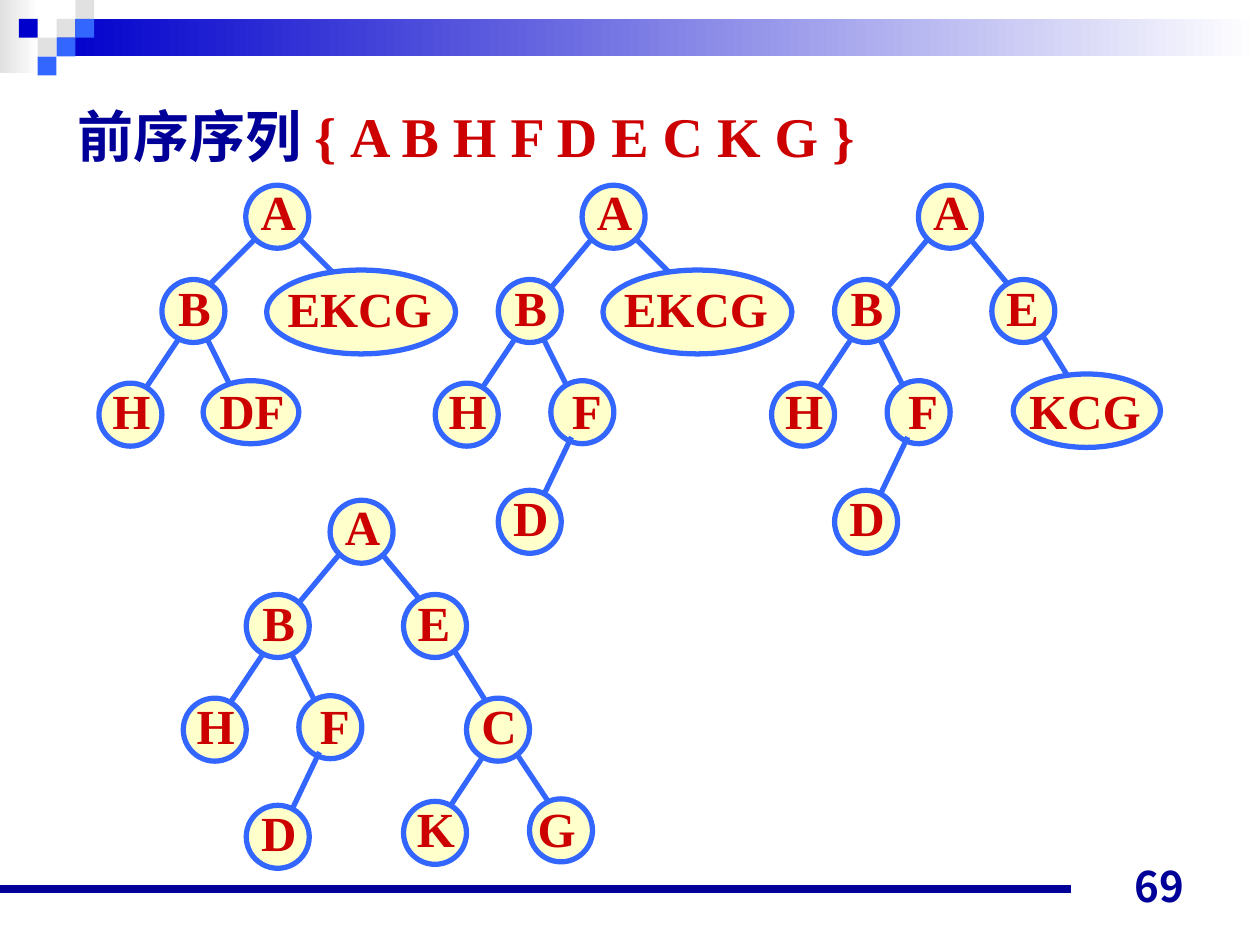
import dataclasses

import pptx
import pptx.dml.color
import pptx.enum.shapes
import pptx.enum.text
import pptx.oxml
import pptx.oxml.ns
import pptx.util

Cm = pptx.util.Cm
Pt = pptx.util.Pt
RGBColor = pptx.dml.color.RGBColor
SHAPE = pptx.enum.shapes.MSO_SHAPE
ALIGN = pptx.enum.text.PP_ALIGN
ANCHOR = pptx.enum.text.MSO_ANCHOR

NAVY = RGBColor(0x00, 0x00, 0x99)
BLUE = RGBColor(0x00, 0x00, 0xCC)
BRIGHT_BLUE = RGBColor(0x33, 0x66, 0xFF)
RED = RGBColor(0xCC, 0x00, 0x00)
CREAM = RGBColor(0xFF, 0xFF, 0xCC)
GREY = RGBColor(0xE1, 0xE1, 0xE1)
WHITE = RGBColor(0xFF, 0xFF, 0xFF)

SERIF = "Times New Roman"
SANS = "Noto Sans CJK JP"


@dataclasses.dataclass
class Node:
    """A tree node in cm: centre measured from the root, size, label offset."""
    x: float
    y: float
    width: float = 1.27
    height: float = 1.27
    label_dx: float = 0.02
    label_dy: float = -0.09
    label_width: float = 1.22


NODES = {
    "A": Node(0, 0, label_dy=-0.11),
    "B": Node(-1.69, 1.9),
    "E": Node(1.48, 1.9, label_dx=-0.02),
    "EKCG": Node(1.69, 1.92, 3.81, 1.69, label_dx=-0.03, label_width=3.4),
    "H": Node(-2.96, 3.99),
    "DF": Node(-0.53, 3.94, 1.93, label_dy=-0.04, label_width=1.9),
    "F": Node(-0.63, 3.94, label_dx=0.09, label_dy=-0.04, label_width=1.9),
    "C": Node(2.75, 3.99),
    "KCG": Node(2.76, 3.91, 2.97, 1.48, label_dx=-0.04, label_dy=-0.01,
                label_width=2.74),
    "D": Node(-1.69, 6.15),
    "K": Node(1.48, 6.07),
    "G": Node(4.02, 6.02, label_dx=-0.09, label_dy=-0.04, label_width=1.9),
}

# Edge ends in cm, measured from the root
EDGES = {
    "A-B": (-0.42, 0.42, -1.48, 1.69),
    "A-B wide": (-0.42, 0.42, -1.69, 1.69),
    "A-E": (0.21, 0.21, 1.27, 1.48),
    "A-EKCG": (0.42, 0.42, 1.69, 1.69),
    "B-H": (-1.9, 2.33, -2.75, 3.6),
    "B-F": (-1.48, 2.33, -0.85, 3.6),
    "E-C": (1.69, 2.11, 2.75, 3.81),
    "F-D": (-0.85, 4.44, -1.48, 5.76),
    "C-K": (2.54, 4.39, 1.7, 5.66),
    "C-G": (2.96, 4.23, 3.81, 5.51),
}

# Root centre, nodes and edges of each step
STEPS = [
    (5.59, 4.37, ["A", "EKCG", "B", "H", "DF"],
     ["A-B wide", "A-EKCG", "B-H", "B-F"]),
    (12.37, 4.37, ["A", "EKCG", "B", "H", "F", "D"],
     ["A-B", "A-EKCG", "B-H", "B-F"]),
    (19.15, 4.37, ["A", "E", "B", "H", "F", "D", "KCG"],
     ["A-B", "A-E", "B-H", "B-F", "E-C"]),
    (7.29, 10.72, ["A", "E", "B", "H", "F", "D", "C", "K", "G"],
     ["A-B", "A-E", "B-H", "B-F", "E-C", "C-K", "C-G"]),
]


def format_run(run, size, color, font=SERIF):
    run.font.size = Pt(size)
    run.font.bold = True
    run.font.name = font
    run.font.color.rgb = color
    east_asian = pptx.oxml.parse_xml(
        f'<a:ea {pptx.oxml.ns.nsdecls("a")} typeface="{SANS}"/>')
    run.font._element.find(pptx.oxml.ns.qn("a:latin")).addnext(east_asian)


def add_plain_shape(slide, kind, left, top, width, height):
    shape = slide.shapes.add_shape(kind, Cm(left), Cm(top), Cm(width), Cm(height))
    shape.shadow.inherit = False
    shape.line.fill.background()
    return shape


def add_square(slide, column, row, color):
    """Fill one cell of the corner pattern."""
    side = 0.38
    square = add_plain_shape(slide, SHAPE.RECTANGLE, column * side, row * side,
                             side, side)
    square.fill.solid()
    square.fill.fore_color.rgb = color


def add_fading_bar(slide, left, top, width, height, color):
    """Add a bar that fades to white on the right."""
    bar = add_plain_shape(slide, SHAPE.RECTANGLE, left, top, width, height)
    bar.fill.gradient()
    bar.fill.gradient_angle = 0
    for stop, stop_color, position in zip(bar.fill.gradient_stops,
                                          (color, WHITE), (0, 1)):
        stop.color.rgb = stop_color
        stop.position = position


def add_line(slide, x1, y1, x2, y2, color, weight):
    line = slide.shapes.add_connector(
        pptx.enum.shapes.MSO_CONNECTOR.STRAIGHT, Cm(x1), Cm(y1), Cm(x2), Cm(y2))
    line.line.color.rgb = color
    line.line.width = Pt(weight)
    line._element.spPr.append(
        pptx.oxml.parse_xml(f'<a:effectLst {pptx.oxml.ns.nsdecls("a")}/>'))


def add_text(slide, text, left, top, width, height, align, anchor):
    box = slide.shapes.add_textbox(Cm(left), Cm(top), Cm(width), Cm(height))
    frame = box.text_frame
    frame.text = text
    frame.vertical_anchor = anchor
    frame.paragraphs[0].alignment = align
    return frame


def add_edge(slide, root_x, root_y, name):
    x1, y1, x2, y2 = EDGES[name]
    add_line(slide, root_x + x1, root_y + y1, root_x + x2, root_y + y2,
             BRIGHT_BLUE, 3)


def add_node(slide, root_x, root_y, label):
    node = NODES[label]
    x, y = root_x + node.x, root_y + node.y
    oval = add_plain_shape(slide, SHAPE.OVAL, x - node.width / 2,
                           y - node.height / 2, node.width, node.height)
    oval.fill.solid()
    oval.fill.fore_color.rgb = CREAM
    oval.line.color.rgb = BRIGHT_BLUE
    oval.line.width = Pt(3)
    label_height = 1.45
    frame = add_text(slide, label, x + node.label_dx - node.label_width / 2,
                     y + node.label_dy - label_height / 2, node.label_width,
                     label_height, ALIGN.CENTER, ANCHOR.MIDDLE)
    frame.margin_left = frame.margin_right = 0  # room for the longest label
    frame.word_wrap = False
    format_run(frame.paragraphs[0].runs[0], 28, RED)


def add_tree(slide, root_x, root_y, labels, edges):
    for edge in edges:
        add_edge(slide, root_x, root_y, edge)
    for label in labels:
        if label == "D":  # this edge lies over its parent F
            add_edge(slide, root_x, root_y, "F-D")
        add_node(slide, root_x, root_y, label)


def add_decoration(slide):
    add_fading_bar(slide, 0, 0, 0.79, 1.47, GREY)
    add_fading_bar(slide, 1.14, 0.38, 24.26, 0.76, BLUE)
    for column, row, color in [(3, 1, GREY), (4, 0, GREY), (4, 1, BRIGHT_BLUE),
                               (2, 2, GREY), (1, 1, BLUE), (3, 2, BRIGHT_BLUE),
                               (2, 3, BRIGHT_BLUE)]:
        add_square(slide, column, row, color)
    add_line(slide, 0, 17.93, 21.59, 17.93, NAVY, 4.5)


def set_title(slide):
    title = slide.shapes.title
    title.left, title.top, title.width, title.height = (
        Cm(1.3), Cm(1.32), Cm(22.86), Cm(2.79))
    title.text_frame.vertical_anchor = ANCHOR.MIDDLE
    paragraph = title.text_frame.paragraphs[0]
    paragraph.alignment = ALIGN.LEFT
    for text, color in [("前序序列 ", NAVY), ("{ A B H F D E C K G }", RED)]:
        run = paragraph.add_run()
        run.text = text
        format_run(run, 32, color)


def main():
    presentation = pptx.Presentation()
    presentation.slide_width, presentation.slide_height = Cm(25.4), Cm(19.05)
    slide = presentation.slides.add_slide(presentation.slide_layouts[5])
    add_decoration(slide)
    set_title(slide)
    for step in STEPS:
        add_tree(slide, *step)
    page_number = add_text(slide, "69", 18.21, 17.22, 5.92, 1.27,
                           ALIGN.RIGHT, ANCHOR.BOTTOM)
    format_run(page_number.paragraphs[0].runs[0], 24, NAVY, SANS)
    presentation.save("out.pptx")


if __name__ == "__main__":
    main()
